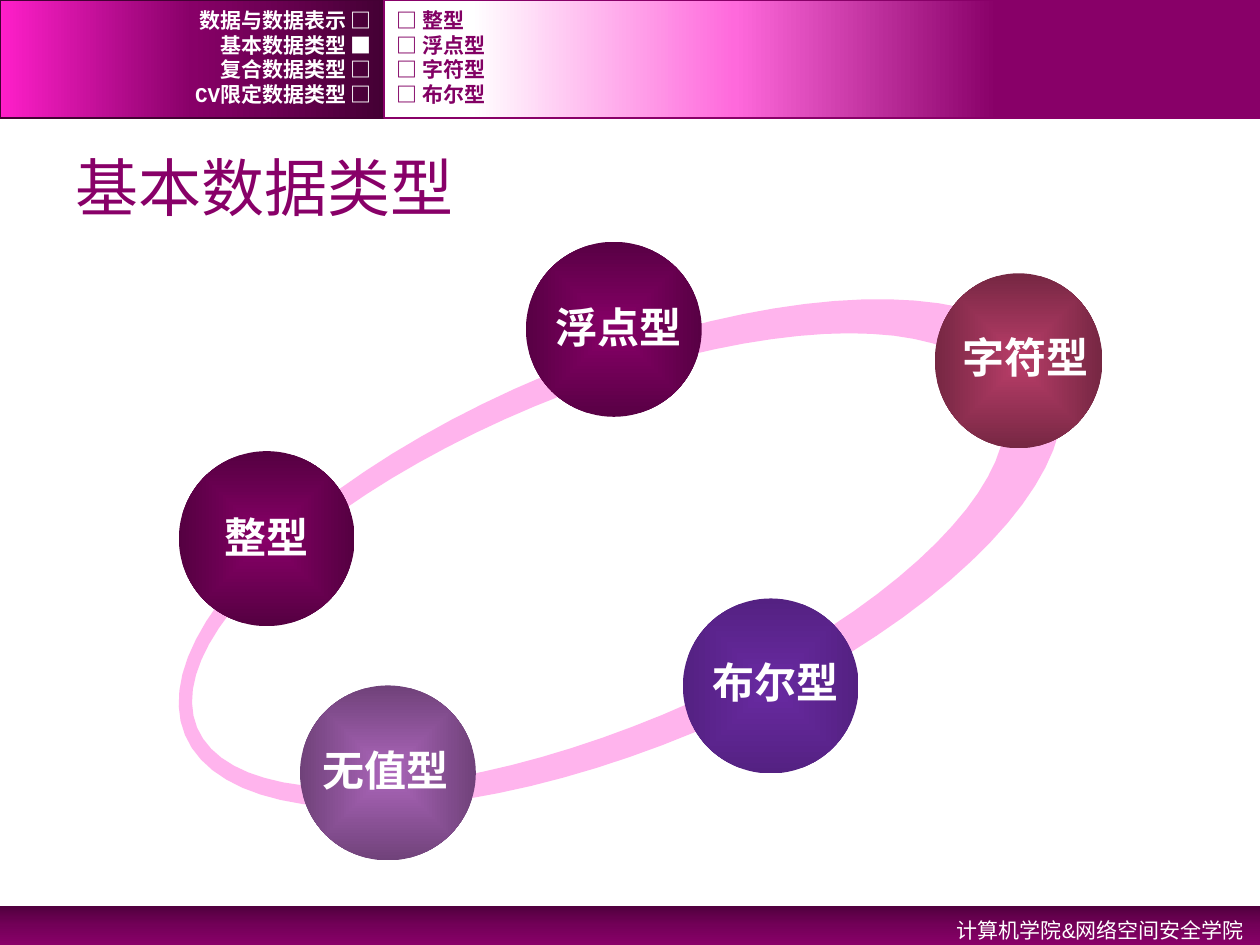
from math import cos, pi, sin

from lxml.etree import SubElement
from pptx import Presentation
from pptx.dml.color import RGBColor
from pptx.enum.shapes import MSO_SHAPE as Shape
from pptx.enum.text import MSO_ANCHOR as Anchor, MSO_AUTO_SIZE as AutoSize, PP_ALIGN as Align
from pptx.oxml.ns import qn
from pptx.util import Pt

WHITE = RGBColor(0xFF, 0xFF, 0xFF)
PLUM = RGBColor(0x88, 0x00, 0x68)
DARK_PLUM = RGBColor(0x44, 0x00, 0x34)
FOOTER_TOP = RGBColor(0x51, 0x00, 0x3E)
FOOTER_MIDDLE = RGBColor(0x73, 0x00, 0x58)
MAGENTA = RGBColor(0xFF, 0x1F, 0xCA)
PINK = RGBColor(0xFF, 0x69, 0xDC)
PALE_PINK = RGBColor(0xFF, 0xB4, 0xED)
MENU_PLUM = RGBColor(0x82, 0x00, 0x64)
LILAC = RGBColor(0xAC, 0x66, 0xBB)
VIOLET = RGBColor(0x69, 0x2A, 0xA2)
ROSE = RGBColor(0xB8, 0x3D, 0x68)

CJK_FONT = "Noto Sans CJK SC"

SECTIONS = ["数据与数据表示 □", "基本数据类型 ■", "复合数据类型 □", "CV限定数据类型 □"]
TOPICS = ["□ 整型", "□ 浮点型", "□ 字符型", "□ 布尔型"]

BALLS = [
    ((300.5, 138.2, 100.5, 100), PLUM, 37.65, "浮点型", (310.3, 168.5, 88)),
    ((102.2, 257.8, 100.5, 100), PLUM, 34.12, "整型", (121, 288.7, 63.4)),
    ((171.4, 391.7, 100.5, 100), LILAC, 37.65, "无值型", (177.1, 421.9, 88)),
    ((390.2, 342, 100.5, 100), VIOLET, 61.18, "布尔型", (400.3, 371.5, 88)),
    ((534.2, 156.2, 95.8, 100), ROSE, 36.47, "字符型", (542.9, 185.8, 88)),
]


def fill_gradient(shape, stops, angle=None):
    shape.fill.gradient()
    gradient = shape._element.spPr.find(qn("a:gradFill"))
    gradient[:] = []
    stop_list = SubElement(gradient, qn("a:gsLst"))
    for position, color, shade in stops:
        stop = SubElement(stop_list, qn("a:gs"), pos=str(position * 1000))
        tone = SubElement(stop, qn("a:srgbClr"), val=str(color))
        if shade:
            SubElement(tone, qn("a:shade"), val=str(round(shade * 1000)))
    if angle is None:
        center = SubElement(gradient, qn("a:path"), {"path": "shape"})
        SubElement(center, qn("a:fillToRect"), dict.fromkeys("ltrb", "50000"))
    else:
        SubElement(gradient, qn("a:lin"), ang=str(angle * 60000), scaled="0")


def add_panel(slide, preset, box, stops, angle=None, line=None):
    panel = slide.shapes.add_shape(preset, *map(Pt, box))
    panel.shadow.inherit = False
    fill_gradient(panel, stops, angle)
    if line is None:
        panel.line.fill.background()
    else:
        panel.line.color.rgb = line
        panel.line.width = Pt(1)


def add_label(slide, box, text, font, color, frame=None, paragraph=None):
    text_frame = slide.shapes.add_textbox(*map(Pt, box)).text_frame
    line = text_frame.paragraphs[0]
    run = line.add_run()
    run.text = text
    formats = [
        (text_frame, {"word_wrap": True, **(frame or {})}),
        (line, paragraph or {}),
        (run.font, font),
    ]
    for target, values in formats:
        for key, value in values.items():
            setattr(target, key, value)
    run.font.color.rgb = color
    SubElement(run.font._element, qn("a:ea"), typeface=CJK_FONT)


def add_menu(slide, box, entries, color, align):
    left, top, width, pitch = box
    font = {"size": Pt(12), "name": "Courier New", "bold": True}
    for row, entry in enumerate(entries):
        add_label(slide, (left, top + row * pitch, width, pitch), entry, font, color,
                  {"vertical_anchor": Anchor.MIDDLE}, {"alignment": align})


def add_header(slide, box):
    left, top, width, height = box
    split = 219.6
    add_panel(slide, Shape.RECTANGLE, (left, top, split, height),
              [(0, DARK_PLUM, None), (50, PLUM, None), (100, MAGENTA, None)], 180, DARK_PLUM)
    add_panel(slide, Shape.RECTANGLE, (left + split, top, width - split, height),
              [(30, PLUM, None), (60, PINK, None), (90, WHITE, None)], 180, PLUM)
    add_menu(slide, (left, top + 4.5, split, 14.1), SECTIONS, WHITE, Align.RIGHT)
    add_menu(slide, (left + split, top + 4.5, 433.4, 14.1), TOPICS, MENU_PLUM, Align.LEFT)


def add_footer(slide, box):
    left, top, width, height = box
    add_panel(slide, Shape.RECTANGLE, box,
              [(0, FOOTER_TOP, None), (50, FOOTER_MIDDLE, None), (100, PLUM, None)], 90)
    add_label(slide, (left + width - 257.8, top, 255.6, 23), "计算机学院&网络空间安全学院",
              {"size": Pt(12), "name": "Arial"}, WHITE,
              {"auto_size": AutoSize.SHAPE_TO_FIT_TEXT},
              {"alignment": Align.RIGHT, "line_spacing": 1.2})


def ellipse_points(center_x, center_y, radius_x, radius_y, direction):
    steps = 84
    angles = [direction * 2 * pi * step / steps for step in range(steps)]
    return [(Pt(center_x + radius_x * cos(angle)), Pt(center_y + radius_y * sin(angle)))
            for angle in angles]


def add_ring(slide, box):
    left, top, width, height = box
    center_x, center_y = left + width / 2, top + height / 2
    outer = ellipse_points(center_x, center_y, width / 2, height / 2, 1)
    inner = ellipse_points(center_x - 13.2, center_y - 1.2, 248.4, 95.4, -1)
    outline = slide.shapes.build_freeform(*outer[0])
    outline.add_line_segments(outer[1:], close=True)
    outline.move_to(*inner[0])
    outline.add_line_segments(inner[1:], close=True)
    ring = outline.convert_to_shape()
    ring.rotation = 337.4
    ring.shadow.inherit = False
    ring.fill.solid()
    ring.fill.fore_color.rgb = PALE_PINK
    ring.line.fill.background()


def add_type_cycle(slide, box):
    add_ring(slide, box)
    for ball, color, shade, _, _ in BALLS:
        add_panel(slide, Shape.OVAL, ball, [(0, color, None), (100, color, shade)])
    for _, _, _, name, (left, top, width) in BALLS:
        add_label(slide, (left, top, width, 36), name,
                  {"size": Pt(24), "name": CJK_FONT, "bold": True}, WHITE,
                  {"word_wrap": False, "auto_size": AutoSize.SHAPE_TO_FIT_TEXT})


def add_title(slide, box):
    add_label(slide, box, "基本数据类型", {"size": Pt(36), "name": CJK_FONT}, PLUM,
              {"vertical_anchor": Anchor.MIDDLE})


def main():
    deck = Presentation()
    deck.slide_width, deck.slide_height = Pt(720), Pt(540)
    slide = deck.slides.add_slide(deck.slide_layouts[6])
    add_footer(slide, (0, 517.7, 720, 22.3))
    add_header(slide, (0, 0, 720, 67.5))
    add_type_cycle(slide, (85, 205.9, 539.3, 221))
    add_title(slide, (36, 78.5, 648, 56.2))
    deck.save("out.pptx")


if __name__ == "__main__":
    main()
